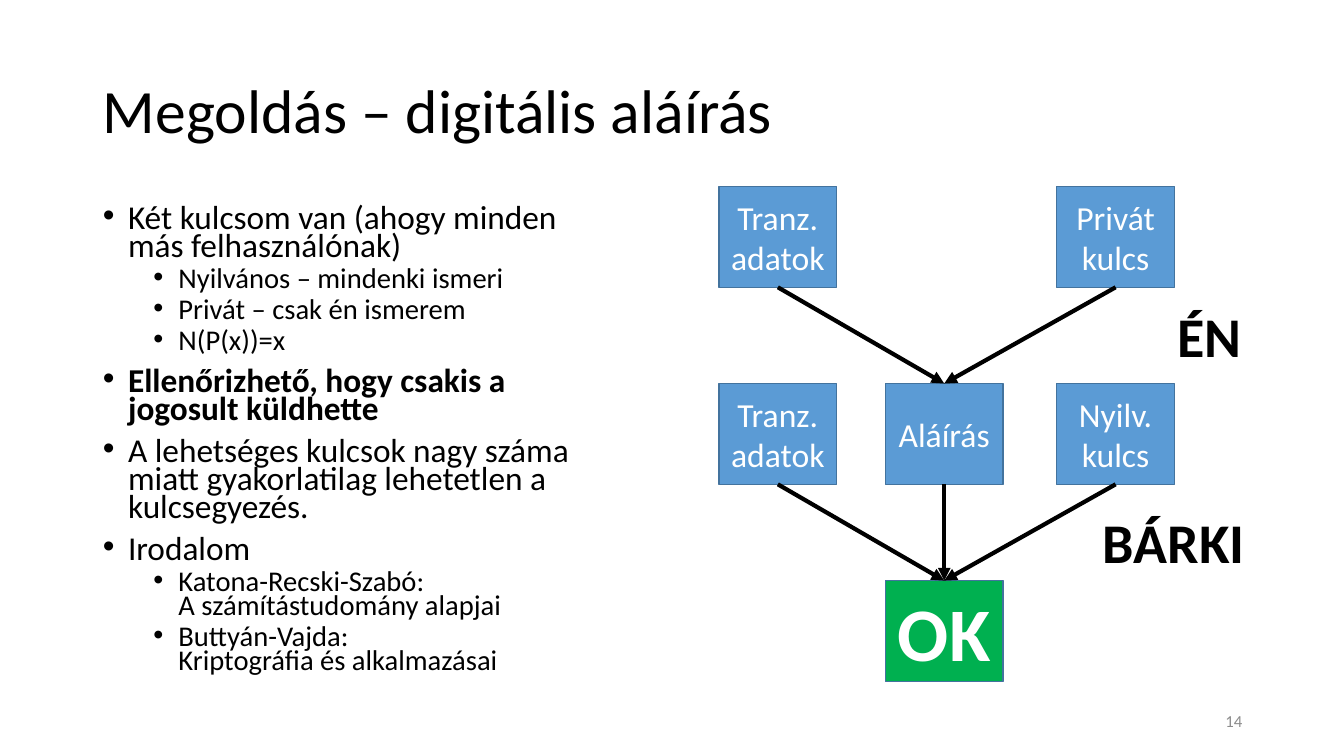
from lxml import etree
from pptx import Presentation
from pptx import util as u
from pptx.dml.color import RGBColor
from pptx.enum import shapes, text
from pptx.oxml.ns import qn

HUE = {"ink": "000000", "box": "5B9BD5", "edge": "43739E", "ok": "00B050", "white": "FFFFFF", "gray": "8C8C8C"}
ALIGN = text.PP_ALIGN
MID = text.MSO_ANCHOR.MIDDLE


def style(para, size, hue, bold=False, **form):
    for key, val in form.items():
        setattr(para, key, val)
    for run in para.runs:
        for key, val in {"name": "Calibri", "size": u.Pt(size), "bold": bold}.items():
            setattr(run.font, key, val)
        run.font.color.rgb = RGBColor.from_string(HUE[hue])


def place(shape, *spot):
    for key, val in zip(("left", "top", "width", "height"), spot):
        setattr(shape, key, u.Inches(val))


deck = Presentation()
deck.slide_width, deck.slide_height = u.Inches(13.33), u.Inches(7.5)
slide = deck.slides.add_slide(deck.slide_layouts[1])
title, body = slide.placeholders

place(title, 0.92, 0.4, 11.5, 1.45)
title.text_frame.text = "Megoldás – digitális aláírás"
title.text_frame.vertical_anchor = MID
title.text_frame.auto_size = text.MSO_AUTO_SIZE.NONE
style(title.text_frame.paragraphs[0], 44, "ink", alignment=ALIGN.LEFT, line_spacing=0.9)

points = [
    (0, "Két kulcsom van (ahogy minden más felhasználónak)", False),
    (1, "Nyilvános – mindenki ismeri", False),
    (1, "Privát – csak én ismerem", False),
    (1, "N(P(x))=x", False),
    (0, "Ellenőrizhető, hogy csakis a jogosult küldhette", True),
    (0, "A lehetséges kulcsok nagy száma miatt gyakorlatilag lehetetlen a kulcsegyezés.", False),
    (0, "Irodalom", False),
    (1, "Katona-Recski-Szabó: \nA számítástudomány alapjai", False),
    (1, "Buttyán-Vajda: \nKriptográfia és alkalmazásai", False),
]
place(body, 0.92, 2, 4.97, 4.76)
frame = body.text_frame
frame.auto_size = text.MSO_AUTO_SIZE.NONE
for row, (level, words, bold) in enumerate(points):
    para = frame.add_paragraph() if row else frame.paragraphs[0]
    para.text = words
    props = para._p.get_or_add_pPr()
    props.set("marL", str(u.Inches(0.25 + 0.5 * level)))
    props.set("indent", str(u.Inches(-0.25)))
    etree.SubElement(props, qn("a:buFont"), typeface="Arial")
    etree.SubElement(props, qn("a:buChar"), char="•")
    before = u.Pt((10, 5)[level] if row else 0)
    style(para, (23.8, 20.4)[level], "ink", bold, level=level, line_spacing=0.7, space_before=before)

cols, top, step = (7.13, 8.78, 10.48), 1.85, 1.955
boxes = {
    (0, 0): "Tranz. adatok",
    (0, 2): "Privát kulcs",
    (1, 0): "Tranz. adatok",
    (1, 1): "Aláírás",
    (1, 2): "Nyilv. kulcs",
    (2, 1): "OK",
}
nodes = {}
for (row, col), words in boxes.items():
    last = row == 2
    spot = [u.Inches(n) for n in (cols[col], top + step * row, 1.17, 1)]
    box = nodes[row, col] = slide.shapes.add_shape(shapes.MSO_SHAPE.RECTANGLE, *spot)
    box.shadow.inherit = False
    box.fill.solid()
    box.fill.fore_color.rgb = RGBColor.from_string(HUE["ok" if last else "box"])
    box.line.color.rgb = RGBColor.from_string(HUE["edge"])
    box.line.width = u.Pt(1)
    box.text_frame.text = words
    box.text_frame.word_wrap = True
    box.text_frame.vertical_anchor = MID
    style(box.text_frame.paragraphs[0], 54 if last else 24, "white", last, alignment=ALIGN.CENTER)

for start, end in [((0, 0), (1, 1)), ((0, 2), (1, 1))] + [((1, col), (2, 1)) for col in range(3)]:
    arrow = slide.shapes.add_connector(shapes.MSO_CONNECTOR.STRAIGHT, 0, 0, 0, 0)
    arrow.begin_connect(nodes[start], 2)
    arrow.end_connect(nodes[end], 0)
    arrow.line.color.rgb = RGBColor.from_string(HUE["ink"])
    arrow.line.width = u.Pt(3)
    props = arrow._element.spPr
    etree.SubElement(props.find(qn("a:ln")), qn("a:tailEnd"), type="triangle")
    etree.SubElement(props, qn("a:effectLst"))

labels = [
    ("ÉN", (11.58, 2.94, 0.84, 0.77), 40, "ink", True, ALIGN.LEFT),
    ("BÁRKI", (10.84, 4.98, 1.62, 0.77), 40, "ink", True, ALIGN.LEFT),
    ("14", (9.42, 6.95, 3, 0.4), 12, "gray", False, ALIGN.RIGHT),
]
for words, spot, size, hue, bold, align in labels:
    label = slide.shapes.add_textbox(*[u.Inches(n) for n in spot])
    label.text_frame.text = words
    label.text_frame.word_wrap = not bold
    label.text_frame.vertical_anchor = MID
    style(label.text_frame.paragraphs[0], size, hue, bold, alignment=align)

deck.save("out.pptx")
